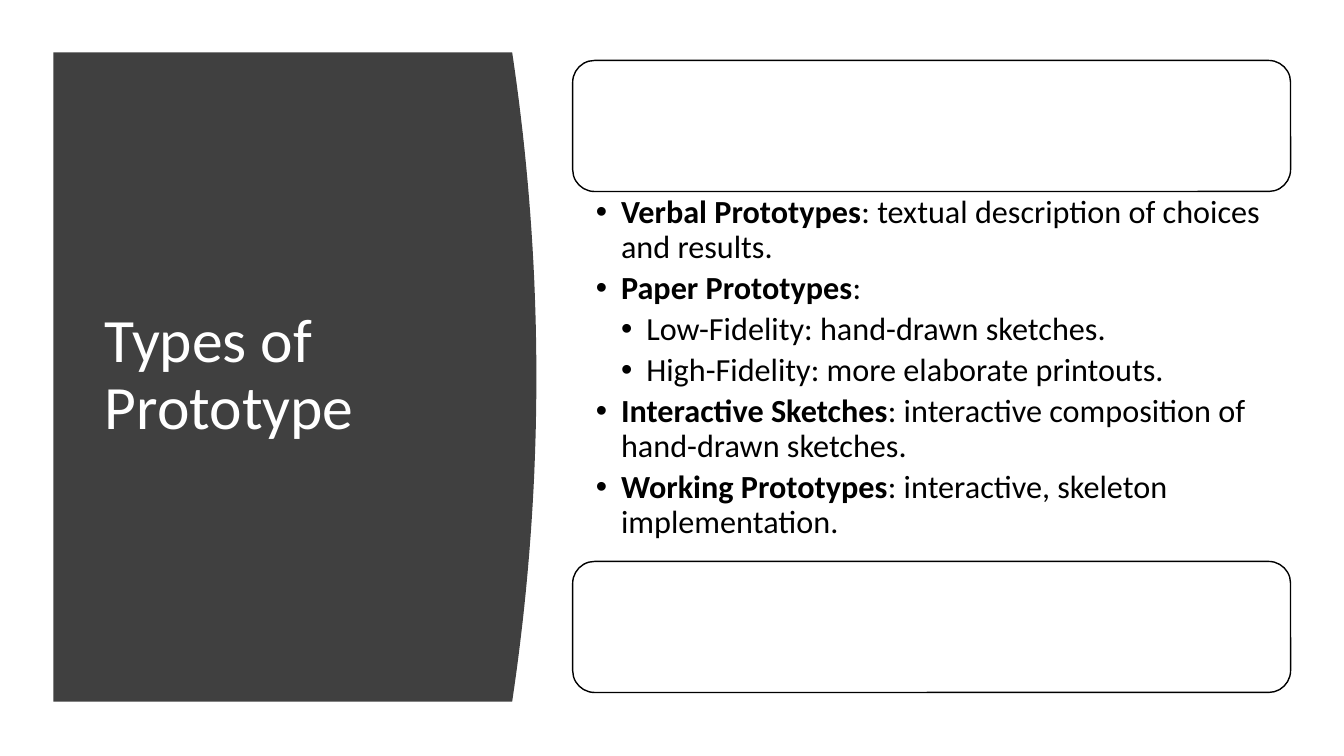
from lxml import etree
from pptx import Presentation
from pptx.dml.color import RGBColor
from pptx.enum.shapes import MSO_SHAPE
from pptx.enum.text import MSO_ANCHOR, MSO_AUTO_SIZE, PP_ALIGN
from pptx.oxml.ns import qn
from pptx.util import Pt

PX = 9144  # EMU per px, 100 px to the inch
ROUNDED = MSO_SHAPE.ROUNDED_RECTANGLE
MIDDLE, TOP = MSO_ANCHOR.MIDDLE, MSO_ANCHOR.TOP
LEFT = PP_ALIGN.LEFT
NO_AUTOFIT = MSO_AUTO_SIZE.NONE
FONT = "Calibri"
COLORS = {"panel": "404040", "title": "FFFFFF", "frame": "FFFFFF",
          "outline": "000000", "text": "000000"}

# (level, bold lead, plain remainder)
PROTOTYPES = [
    (0, "Verbal Prototypes", ": textual description of choices and results."),
    (0, "Paper Prototypes", ":"),
    (1, "", "Low-Fidelity: hand-drawn sketches."),
    (1, "", "High-Fidelity: more elaborate printouts."),
    (0, "Interactive Sketches",
     ": interactive composition of hand-drawn sketches."),
    (0, "Working Prototypes", ": interactive, skeleton implementation."),
]


def color(name):
    return RGBColor.from_string(COLORS[name])


def place(shape, left, top, width, height):
    shape.left, shape.top = left * PX, top * PX
    shape.width, shape.height = width * PX, height * PX


def style(font, size, color_name, bold=False):
    font.name, font.size, font.bold = FONT, Pt(size), bold
    font.color.rgb = color(color_name)


def add_bullet(para, level, step):
    para.level = level
    properties = para._p.get_or_add_pPr()
    properties.set("marL", str((level + 1) * step * PX))
    properties.set("indent", str(-step * PX))
    etree.SubElement(properties, qn("a:buChar")).set("char", "•")


def add_title_panel(page, left, top, width, height):
    """Dark panel whose right side bulges along a parabola, with the title."""
    bulge, steps = 24, 40
    builder = page.shapes.build_freeform(left * PX, top * PX)
    edge = []
    for step in range(steps + 1):
        offset = 2 * step / steps - 1
        x = left + width - bulge * offset ** 2
        edge.append((round(x * PX), round((top + height * step / steps) * PX)))
    builder.add_line_segments(edge + [(left * PX, (top + height) * PX)])
    panel = builder.convert_to_shape()
    panel.shadow.inherit = False
    panel.fill.solid()
    panel.fill.fore_color.rgb = color("panel")
    panel.line.fill.background()

    title = page.shapes.title
    title.element.addprevious(panel.element)
    place(title, left + 41, top + 59, width - 105, height - 120)
    frame = title.text_frame
    frame.text = "Types of Prototype"
    frame.word_wrap, frame.auto_size = True, NO_AUTOFIT
    frame.vertical_anchor = MIDDLE
    para = frame.paragraphs[0]
    para.alignment, para.line_spacing = LEFT, 0.9
    style(para.runs[0].font, 44, "title")


def add_rounded_frame(page, left, top, width, height):
    frame = page.shapes.add_shape(ROUNDED, 0, 0, 0, 0)
    place(frame, left, top, width, height)
    frame.shadow.inherit = False
    frame.fill.solid()
    frame.fill.fore_color.rgb = color("frame")
    frame.line.color.rgb = color("outline")
    frame.line.width = Pt(1)


def fill_list(body, left, top, width, height):
    place(body, left, top, width, height)
    frame = body.text_frame
    frame.word_wrap, frame.auto_size = True, NO_AUTOFIT
    frame.vertical_anchor = TOP
    frame.margin_left = frame.margin_right = 23 * PX
    frame.margin_top = frame.margin_bottom = 4 * PX
    for index, (level, lead, remainder) in enumerate(PROTOTYPES):
        para = frame.add_paragraph() if index else frame.paragraphs[0]
        add_bullet(para, level, 25)
        para.alignment, para.line_spacing = LEFT, 0.9
        para.space_before, para.space_after = Pt(0), Pt(4.6)
        for text, bold in ((lead, True), (remainder, False)):
            if text:
                span = para.add_run()
                span.text = text
                style(span.font, 23, "text", bold)


def add_content(page, left, top, width, height):
    """List between two equal rounded frames."""
    frame_height = 130
    for frame_top in (top, top + height - frame_height):
        add_rounded_frame(page, left, frame_top, width, frame_height)
    fill_list(page.placeholders[1], left, top + frame_height,
              width, height - 2 * frame_height)


def main():
    deck = Presentation()
    deck.slide_width, deck.slide_height = 1333 * PX, 750 * PX
    page = deck.slides.add_slide(deck.slide_layouts[1])
    add_title_panel(page, 53, 52, 479, 644)
    add_content(page, 568, 60, 712, 627)
    deck.save("out.pptx")


if __name__ == "__main__":
    main()
